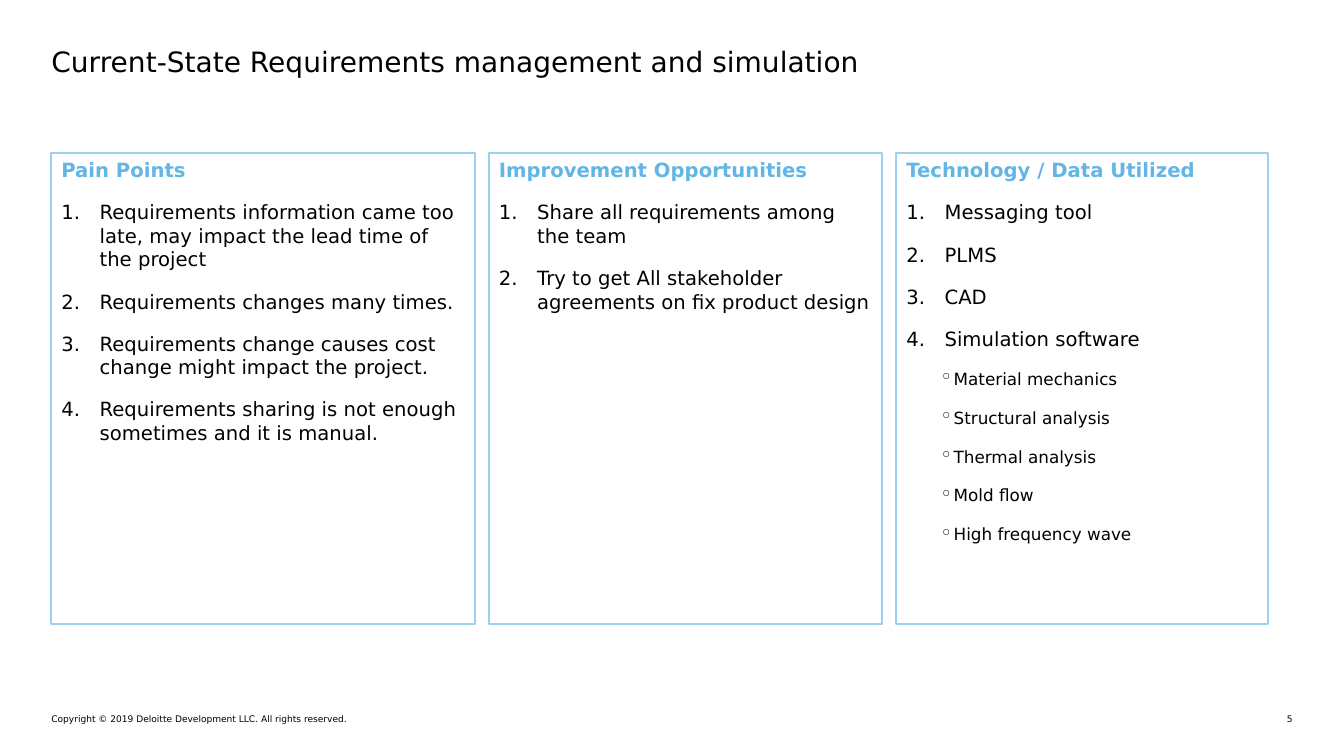
"""Build the current-state slide: a title, three bordered panels and a footer."""
from lxml import etree
from pptx import Presentation
from pptx import util as u
from pptx.dml.color import RGBColor
from pptx.enum import shapes, text
from pptx.oxml.ns import qn

WIDTH, HEIGHT = 13.33, 7.5
LEFT, TOP, PANEL_HEIGHT, GAP = 0.51, 1.52, 4.67, 0.14
COLOURS = {"ink": "000000", "heading": "62B5E5", "border": "9BD0EE"}
FONT = "DejaVu Sans"
SPACE_AFTER = 13.3

STYLES = {
    "heading": {"size": 14, "bold": True, "colour": "heading"},
    "number": {"size": 14, "hanging": (0.38, 0.38), "bullet": ("buAutoNum", "type", "arabicPeriod")},
    "detail": {"size": 12, "hanging": (0.47, 0.14), "bullet": ("buChar", "char", "◦"), "level": 2},
}

PANELS = [
    (4.2, "Pain Points", [
        "Requirements information came too late, may impact the lead time of the project",
        "Requirements changes many times.",
        "Requirements change causes cost change might impact the project.",
        "Requirements sharing is not enough sometimes and it is manual.",
    ], []),
    (3.9, "Improvement Opportunities", [
        "Share all requirements among the team",
        "Try to get All stakeholder agreements on fix product design",
    ], []),
    (3.69, "Technology / Data Utilized", [
        "Messaging tool", "PLMS", "CAD", "Simulation software",
    ], [
        "Material mechanics", "Structural analysis", "Thermal analysis",
        "Mold flow", "High frequency wave",
    ]),
]


def colour(name):
    """Return a named colour of the slide."""
    return RGBColor.from_string(COLOURS[name])


def add_hanging_bullet(para, hanging, bullet):
    """Give a paragraph a hanging indent and a number or character mark."""
    margin, indent = hanging
    tag, key, value = bullet
    properties = para._p.get_or_add_pPr()
    properties.set("marL", str(u.Inches(margin)))
    properties.set("indent", str(-u.Inches(indent)))
    etree.SubElement(properties, qn(f"a:{tag}")).set(key, value)


def write(para, words, size, bold=False, colour_name="ink"):
    """Put one formatted span of words in a paragraph."""
    span = para.add_run()
    span.text = words
    for name, value in {"name": FONT, "size": u.Pt(size), "bold": bold}.items():
        setattr(span.font, name, value)
    span.font.color.rgb = colour(colour_name)


def add_label(page, words, place, size, align=text.PP_ALIGN.LEFT):
    """Add a text box without margins."""
    box = page.shapes.add_textbox(*map(u.Inches, place))
    frame = box.text_frame
    settings = dict.fromkeys(("margin_left", "margin_top", "margin_right", "margin_bottom"), 0)
    for name, value in {**settings, "word_wrap": True}.items():
        setattr(frame, name, value)
    frame.paragraphs[0].alignment = align
    write(frame.paragraphs[0], words, size)


def add_panel(page, left, width, lines):
    """Add a bordered panel holding (style, words) lines."""
    box = page.shapes.add_shape(
        shapes.MSO_SHAPE.RECTANGLE, *map(u.Inches, (left, TOP, width, PANEL_HEIGHT)))
    box.shadow.inherit = False
    box.fill.background()
    box.line.color.rgb = colour("border")
    box.line.width = u.Pt(1.5)
    frame = box.text_frame
    frame.word_wrap = True
    frame.vertical_anchor = text.MSO_ANCHOR.TOP
    for index, (style_name, words) in enumerate(lines):
        style = STYLES[style_name]
        para = frame.add_paragraph() if index else frame.paragraphs[0]
        layout = {"alignment": text.PP_ALIGN.LEFT, "level": style.get("level", 0),
                  "space_after": u.Pt(SPACE_AFTER)}
        for name, value in layout.items():
            setattr(para, name, value)
        if "bullet" in style:
            add_hanging_bullet(para, style["hanging"], style["bullet"])
        write(para, words, style["size"], style.get("bold", False), style.get("colour", "ink"))


def main():
    """Build the slide and save it."""
    deck = Presentation()
    deck.slide_width, deck.slide_height = u.Inches(WIDTH), u.Inches(HEIGHT)
    page = deck.slides.add_slide(deck.slide_layouts[6])
    add_label(page, "Current-State Requirements management and simulation",
              (LEFT, 0.44, WIDTH - 2 * LEFT, 0.37), 20)
    left = LEFT
    for width, heading, numbers, details in PANELS:
        lines = [("heading", heading)]
        lines += [("number", words) for words in numbers]
        lines += [("detail", words) for words in details]
        add_panel(page, left, width, lines)
        left += width + GAP
    add_label(page, "Copyright © 2019 Deloitte Development LLC. All rights reserved.",
              (LEFT, 7.08, 5.86, 0.11), 6.5)
    add_label(page, "5", (WIDTH - LEFT - 0.34, 7.08, 0.34, 0.11), 6.5, text.PP_ALIGN.RIGHT)
    deck.save("out.pptx")


if __name__ == "__main__":
    main()
